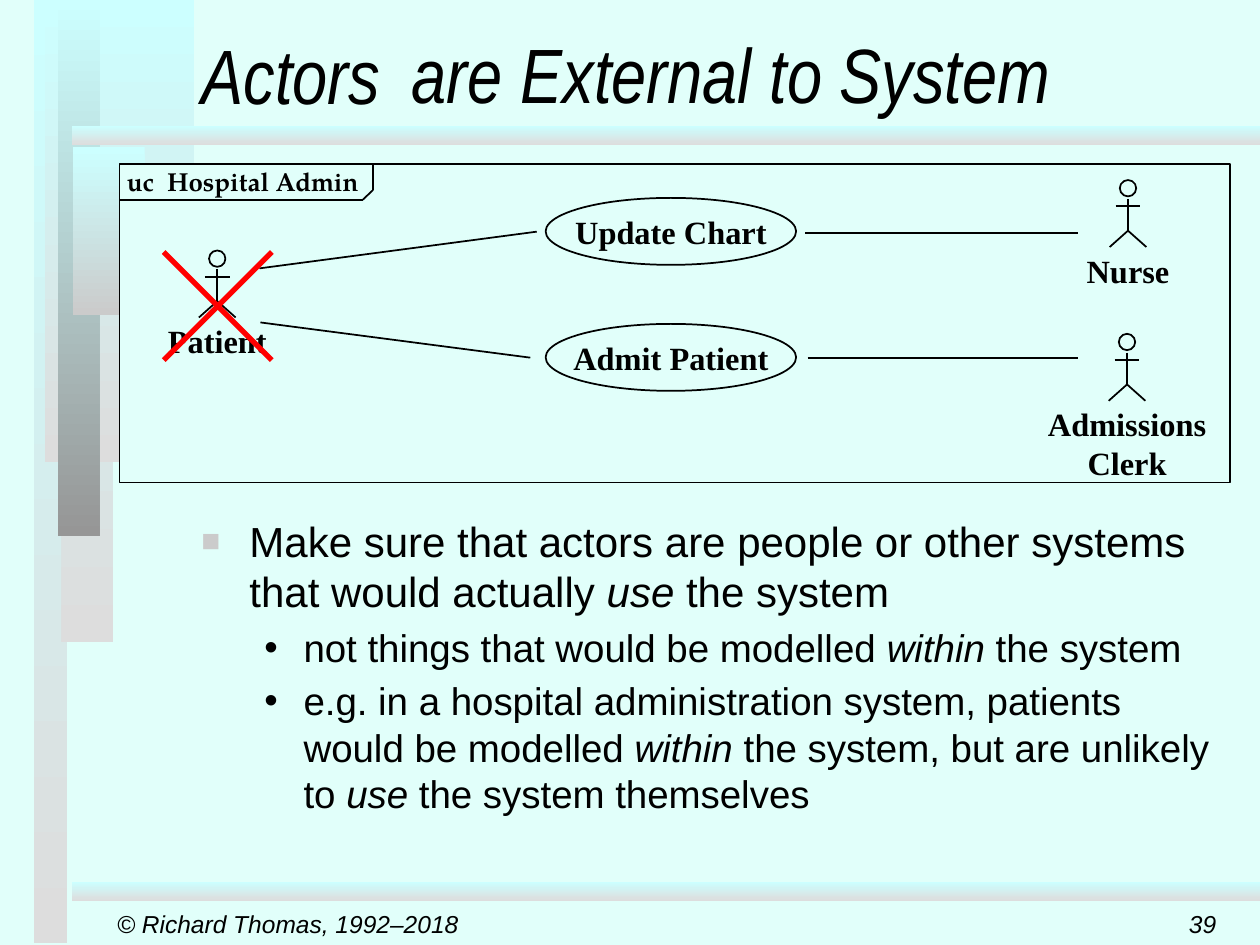
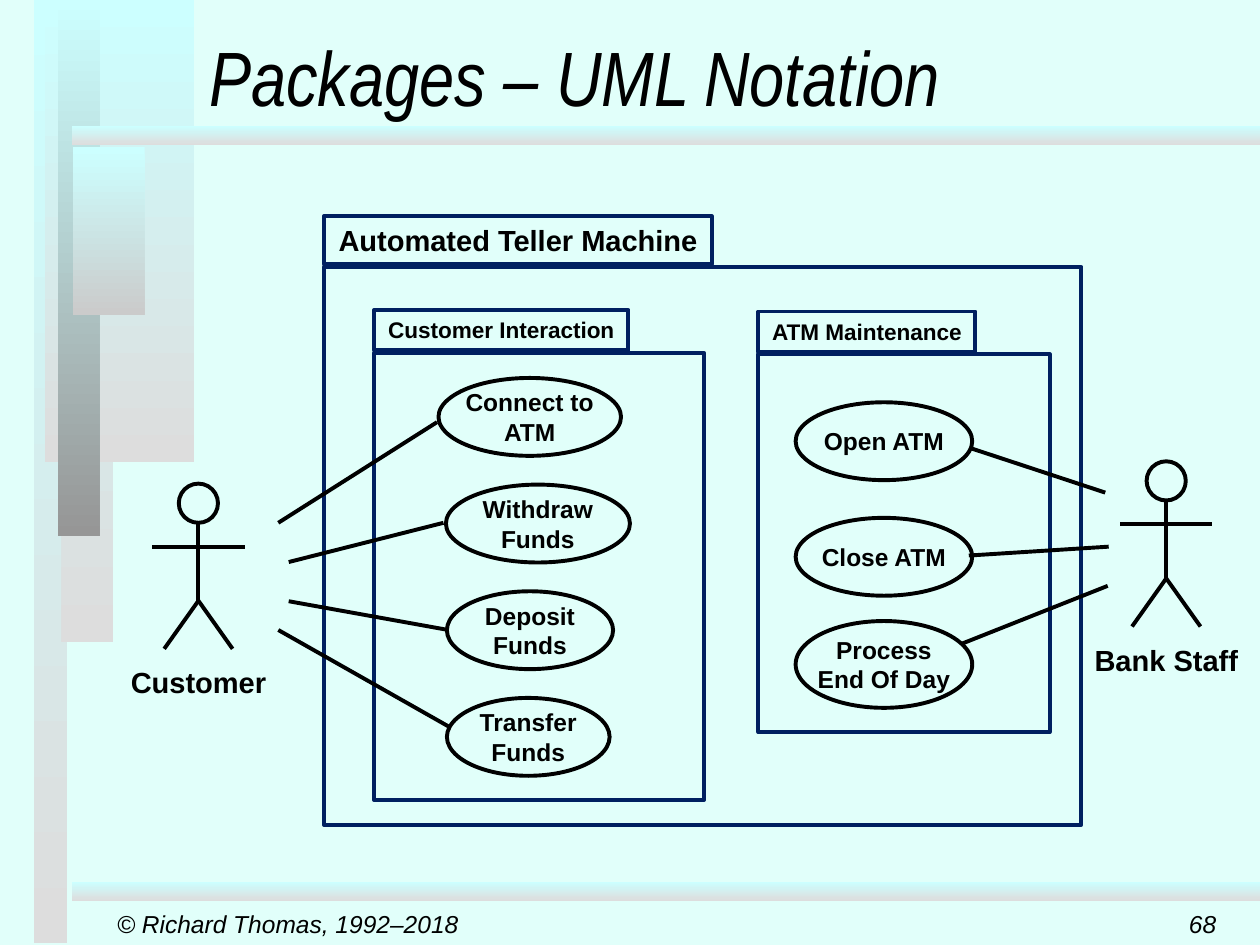
from itertools import pairwise
from typing import NamedTuple

from lxml.etree import SubElement
from pptx import Presentation
from pptx.dml.color import RGBColor
from pptx.enum.shapes import MSO_CONNECTOR, MSO_SHAPE
from pptx.enum.text import MSO_ANCHOR as Anchor, MSO_AUTO_SIZE as AutoSize, PP_ALIGN as Align
from pptx.oxml.ns import qn
from pptx.util import Cm, Pt

# Colours
MINT = RGBColor(0xE1, 0xFF, 0xFA)
AQUA = RGBColor(0xCC, 0xFF, 0xFF)
PALE_GREY = RGBColor(0xDD, 0xDD, 0xDD)
MID_GREY = RGBColor(0xCB, 0xCB, 0xCB)
DARK_GREY = RGBColor(0x96, 0x96, 0x96)
BLACK = RGBColor(0, 0, 0)
NAVY = RGBColor(0x00, 0x20, 0x60)
RED = RGBColor(0xFF, 0, 0)

# Left, top, width, height and end colour of each master bar
BARS = [
    (0.69, 0, 0.66, 19.02, PALE_GREY),
    (1.24, 0, 1.04, 12.95, PALE_GREY),
    (0.91, 0, 3.0, 9.32, PALE_GREY),
    (1.17, 0, 0.84, 10.8, DARK_GREY),
    (1.47, 2.97, 1.45, 3.38, MID_GREY),
    (1.45, 2.54, 23.95, 0.38, PALE_GREY),
    (1.45, 17.78, 23.95, 0.38, PALE_GREY),
]
COPYRIGHT = "© Richard Thomas, 1992–2018"


class Box(NamedTuple):
    """A rectangle in centimetres."""
    left: float
    top: float
    width: float
    height: float

    def inner(self, x, y, width, height):
        return Box(self.left + x, self.top + y, width, height)

    def point(self, x, y):
        return self.left + x, self.top + y

    def lengths(self):
        return [Cm(value) for value in self]


class Style(NamedTuple):
    font: str
    size: float
    bold: bool = False
    italic: bool = False


class Figure(NamedTuple):
    """Proportions of a stick figure, measured down from the top of its head."""
    head: float
    neck: float
    arm_y: float
    arm_reach: float
    hip: float
    foot_y: float
    stride: float
    label_y: float
    line_width: float
    style: Style


TITLE = Style("Arial Narrow", 44, italic=True)
FOOTER = Style("Arial", 14, italic=True)
BODY = Style("Arial", 24)
SUB_BODY = Style("Arial", 22)
FRAME_TAG = Style("TeX Gyre Pagella", 14.8, bold=True)
SERIF_LABEL = Style("Times New Roman", 18.5, bold=True)
LARGE_LABEL = Style("Arial", 16.6, bold=True)
SMALL_LABEL = Style("Arial", 12.9, bold=True)
USE_CASE = Style("Arial", 14, bold=True)

SMALL_FIGURE = Figure(0.33, 0.38, 0.53, 0.25, 1.02, 1.35, 0.37, 1.3, 1, SERIF_LABEL)
LARGE_FIGURE = Figure(0.79, 0.79, 1.27, 0.93, 2.36, 3.33, 0.69, 3.53, 2.25, LARGE_LABEL)


# Shared drawing helpers
def set_font(para, style):
    font = para.font
    font.name, font.size = style.font, Pt(style.size)
    font.bold, font.italic = style.bold, style.italic
    font.color.rgb = BLACK


def write(shape, lines, style, align=Align.LEFT, anchor=Anchor.TOP, wrap=False):
    frame = shape.text_frame
    frame.word_wrap = wrap
    frame.auto_size = AutoSize.NONE
    frame.vertical_anchor = anchor
    frame.text = lines
    for para in frame.paragraphs:
        para.alignment = align
        set_font(para, style)


def add_text(shapes, box, lines, style, **layout):
    write(shapes.add_textbox(*box.lengths()), lines, style, **layout)


def add_outline(shapes, kind, box, color=BLACK, width=1.0, fill=None):
    shape = shapes.add_shape(kind, *box.lengths())
    shape.shadow.inherit = False
    if fill is None:
        shape.fill.background()
    else:
        shape.fill.solid()
        shape.fill.fore_color.rgb = fill
    shape.line.color.rgb = color
    shape.line.width = Pt(width)
    return shape


def add_line(shapes, start, end, color=BLACK, width=1.0):
    ends = [Cm(value) for value in (*start, *end)]
    line = shapes.add_connector(MSO_CONNECTOR.STRAIGHT, *ends)
    line.line.color.rgb = color
    line.line.width = Pt(width)
    SubElement(line.element.spPr, qn("a:effectLst"))


def add_use_case(shapes, box, label, style, width):
    oval = add_outline(shapes, MSO_SHAPE.OVAL, box, width=width)
    write(oval, label, style, align=Align.CENTER, anchor=Anchor.MIDDLE)


def add_actor(page, spot, label, figure):
    """Stick figure whose head has its top centre at the spot."""
    x, top = spot
    shapes = page.shapes.add_group_shape().shapes
    origin = Box(x, top, 0, 0)
    limbs = [
        ((0, figure.neck), (0, figure.hip)),
        ((-figure.arm_reach, figure.arm_y), (figure.arm_reach, figure.arm_y)),
        ((0, figure.hip), (-figure.stride, figure.foot_y)),
        ((0, figure.hip), (figure.stride, figure.foot_y)),
    ]
    for start, end in limbs:
        add_line(shapes, origin.point(*start), origin.point(*end), width=figure.line_width)
    head = origin.inner(-figure.head / 2, 0, figure.head, figure.head)
    add_outline(shapes, MSO_SHAPE.OVAL, head, width=figure.line_width)
    add_text(shapes, origin.inner(-1.7, figure.label_y, 3.4, 1), label, figure.style,
             align=Align.CENTER)


# Master and page furniture
def decorate_master(master, page):
    """Draw the bars through a page, then move them to the master."""
    master.background.fill.solid()
    master.background.fill.fore_color.rgb = MINT
    for *sides, end_color in BARS:
        bar = page.shapes.add_shape(MSO_SHAPE.RECTANGLE, *Box(*sides).lengths())
        bar.shadow.inherit = False
        bar.line.fill.background()
        bar.fill.gradient()
        bar.fill.gradient_angle = 270
        for stop, color in zip(bar.fill.gradient_stops, (AQUA, end_color)):
            stop.color.rgb = color
        master.shapes.element.append(bar.element)


def furnish_page(page, title, title_box, number):
    heading = page.shapes.title
    heading.left, heading.top, heading.width, heading.height = title_box.lengths()
    write(heading, title, TITLE, anchor=Anchor.BOTTOM, wrap=True)
    add_text(page.shapes, Box(2.11, 18.21, 7.5, 0.84), COPYRIGHT, FOOTER, anchor=Anchor.MIDDLE)
    add_text(page.shapes, Box(22.77, 18.21, 2, 0.84), number, FOOTER,
             align=Align.RIGHT, anchor=Anchor.MIDDLE, wrap=True)


# Actors slide
def draw_hospital(page, box):
    shapes = page.shapes
    add_outline(shapes, MSO_SHAPE.RECTANGLE, box, fill=MINT)
    tag_edge = [(0, 0.73), (4.9, 0.73), (5.11, 0.53), (5.11, 0)]
    associations = [
        ((2.82, 2.11), (8.41, 1.37)),
        ((2.84, 3.2), (8.28, 3.91)),
        ((13.82, 1.4), (19.33, 1.4)),
        ((13.87, 3.91), (19.33, 3.91)),
    ]
    for start, end in [*pairwise(tag_edge), *associations]:
        add_line(shapes, box.point(*start), box.point(*end))
    add_text(shapes, box.inner(-0.1, -0.08, 5.23, 0.89), "uc  Hospital Admin", FRAME_TAG)

    for row, label in enumerate(["Update Chart", "Admit Patient"]):
        add_use_case(shapes, box.inner(8.59, 0.69 + 2.54 * row, 5.05, 1.35), label, SERIF_LABEL, 1)
    for x, y, label in [(1.97, 1.75, "Patient"), (20.31, 3.43, "Admissions\nClerk"),
                        (20.33, 0.33, "Nurse")]:
        add_actor(page, box.point(x, y), label, SMALL_FIGURE)

    # Cross over the patient
    cross = page.shapes.add_group_shape().shapes
    left, top, right, bottom = 0.89, 1.78, 3.07, 3.96
    add_line(cross, box.point(left, top), box.point(right, bottom), RED, 3)
    add_line(cross, box.point(right, top), box.point(left, bottom), RED, 3)


def add_bullet(para, symbol, color, percent, margin, hanging):
    props = para._p.get_or_add_pPr()
    props.set("marL", str(Cm(margin)))
    props.set("indent", str(-Cm(hanging)))
    SubElement(SubElement(props, qn("a:buClr")), qn("a:srgbClr"), val=str(color))
    SubElement(props, qn("a:buSzPct"), val=str(percent * 1000))
    SubElement(props, qn("a:buFont"), typeface="Arial")
    SubElement(props, qn("a:buChar"), char=symbol)


def write_advice(page, box):
    """Bullets in which every second piece of text is italic."""
    points = [
        (0, ["Make sure that actors are people or other systems that would actually ",
             "use", " the system"]),
        (1, ["not things that would be modelled ", "within", " the system"]),
        (1, ["e.g. in a hospital administration system, patients would be modelled ",
             "within", " the system, but are unlikely to ", "use",
             " the system themselves"]),
    ]
    frame = page.shapes.add_textbox(*box.lengths()).text_frame
    frame.word_wrap = True
    for index, (level, pieces) in enumerate(points):
        para = frame.add_paragraph() if index else frame.paragraphs[0]
        para.level = level
        if index:
            para.space_before = Pt(4.4)
        if level:
            add_bullet(para, "•", BLACK, 100, 2.06, 0.79)
        else:
            add_bullet(para, "■", MID_GREY, 75, 0.97, 0.97)
        set_font(para, SUB_BODY if level else BODY)
        for position, piece in enumerate(pieces):
            span = para.add_run()
            span.text = piece
            if position % 2:
                span.font.italic = True


def build_actors_slide(page):
    furnish_page(page, "Actors", Box(3.81, 0, 21.59, 2.54), "39")
    add_text(page.shapes, Box(8.05, 0.41, 13.51, 2.13), "are External to System", TITLE)
    draw_hospital(page, Box(2.41, 3.3, 22.38, 6.43))
    write_advice(page, Box(3.81, 10.26, 20.98, 6.6))


# Packages slide
def draw_package(page, box, name, tab_width, tab_height, style):
    add_outline(page.shapes, MSO_SHAPE.RECTANGLE, box, NAVY, 2.25)
    tab_box = box.inner(0, -tab_height - 0.05, tab_width, tab_height)
    tab = add_outline(page.shapes, MSO_SHAPE.RECTANGLE, tab_box, NAVY, 2.25)
    write(tab, name, style, align=Align.CENTER)


def draw_teller_machine(page, box):
    customer = box.inner(1.01, 1.73, 6.65, 9.02)
    maintenance = box.inner(8.76, 1.76, 5.87, 7.62)
    draw_package(page, box, "Automated Teller Machine", 7.82, 0.97, LARGE_LABEL)
    draw_package(page, customer, "Customer Interaction", 5.13, 0.81, SMALL_LABEL)
    draw_package(page, maintenance, "ATM Maintenance", 4.37, 0.81, SMALL_LABEL)

    customer_cases = [(1.3, 3.68, "Connect to\nATM"), (1.45, 3.71, "Withdraw\nFunds"),
                      (1.47, 3.35, "Deposit\nFunds"), (1.47, 3.28, "Transfer\nFunds")]
    for row, (x, width, label) in enumerate(customer_cases):
        oval = customer.inner(x, 0.51 + 2.15 * row, width, 1.57)
        add_use_case(page.shapes, oval, label, USE_CASE, 2.25)
    for y, height, label in [(0.97, 1.57, "Open ATM"), (3.3, 1.57, "Close ATM"),
                             (5.38, 1.75, "Process\nEnd Of Day")]:
        oval = maintenance.inner(0.75, y, 3.56, height)
        add_use_case(page.shapes, oval, label, USE_CASE, 2.25)

    associations = [
        ((-0.92, 5.16), (2.28, 3.13)),
        ((-0.71, 5.95), (2.41, 5.16)),
        ((-0.71, 6.74), (2.51, 7.32)),
        ((-0.92, 7.32), (2.54, 9.28)),
        ((13.05, 3.66), (15.75, 4.55)),
        ((13.0, 5.82), (15.82, 5.64)),
        ((12.85, 7.6), (15.8, 6.43)),
    ]
    for start, end in associations:
        add_line(page.shapes, box.point(*start), box.point(*end), width=2.25)
    add_actor(page, box.point(-2.53, 4.37), "Customer", LARGE_FIGURE)
    add_actor(page, box.point(16.98, 3.92), "Bank Staff", LARGE_FIGURE)


def build_packages_slide(page):
    furnish_page(page, "Packages – UML Notation", Box(3.96, 0, 19.79, 2.59), "68")
    draw_teller_machine(page, Box(6.53, 5.38, 15.27, 11.25))


def main():
    deck = Presentation()
    deck.slide_width, deck.slide_height = Cm(25.4), Cm(19.05)
    title_only = deck.slide_layouts[5]
    actors, packages = [deck.slides.add_slide(title_only) for _ in range(2)]
    decorate_master(deck.slide_master, actors)
    build_actors_slide(actors)
    build_packages_slide(packages)
    deck.save("out.pptx")


if __name__ == "__main__":
    main()
